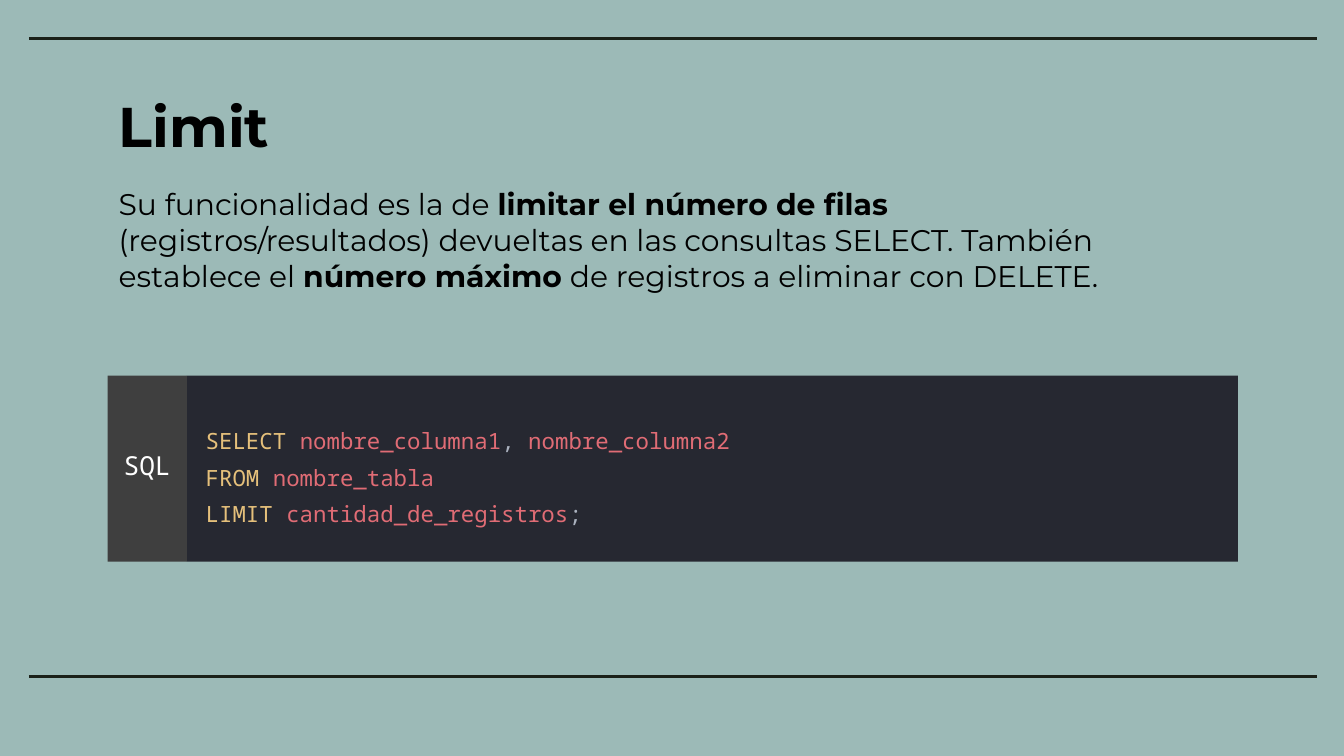
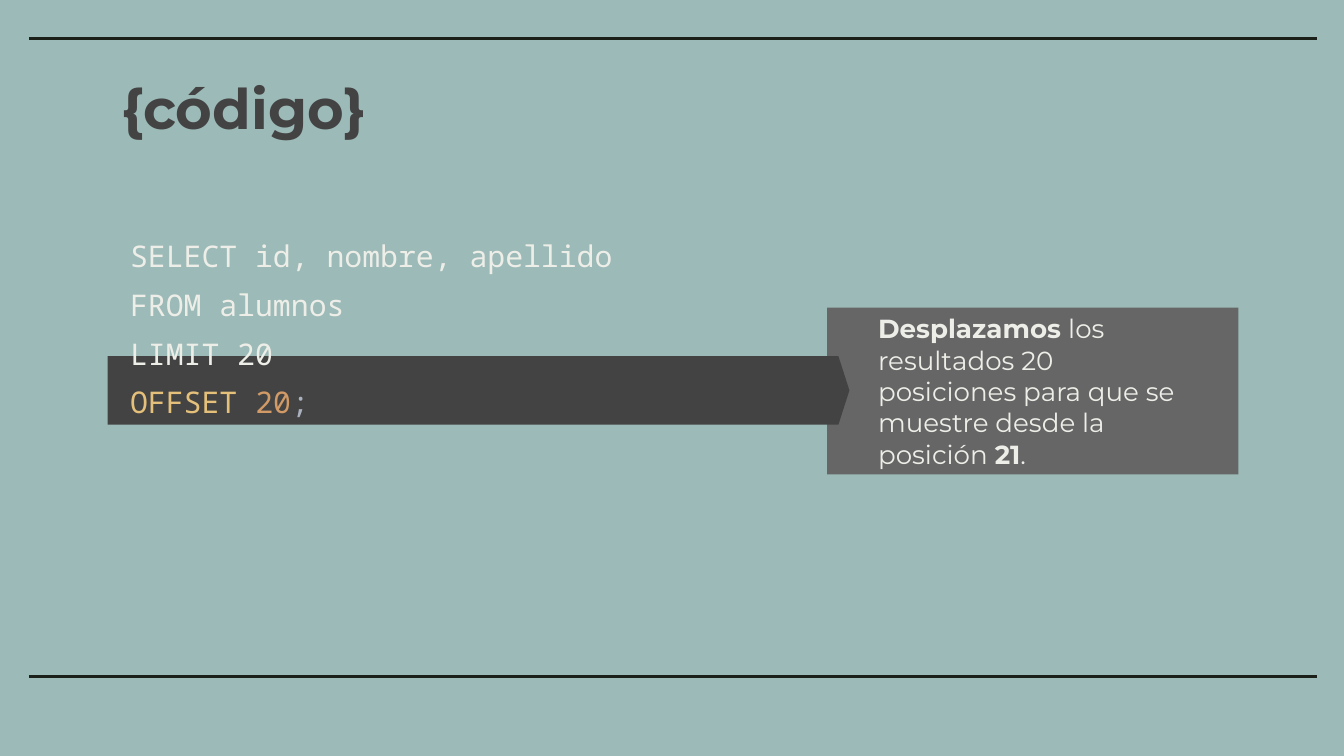
import pptx
import pptx.util
import pptx.dml.color
import pptx.enum.shapes
import pptx.enum.text
import pptx.oxml.ns
from lxml import etree

RGB = pptx.dml.color.RGBColor
SHAPE = pptx.enum.shapes.MSO_SHAPE
ANCHOR = pptx.enum.text.MSO_ANCHOR
ALIGN = pptx.enum.text.PP_ALIGN

SAGE = RGB(0x9C, 0xBA, 0xB7)
RULE = RGB(0x1B, 0x21, 0x19)
BLACK = RGB(0x00, 0x00, 0x00)
WHITE = RGB(0xFF, 0xFF, 0xFF)
CREAM = RGB(0xEE, 0xEE, 0xE9)
NIGHT = RGB(0x26, 0x28, 0x31)
COAL = RGB(0x3F, 0x3F, 0x3F)
SLATE = RGB(0x43, 0x43, 0x43)
GREY = RGB(0x66, 0x66, 0x66)
GOLD = RGB(0xE5, 0xC0, 0x7B)
ROSE = RGB(0xE0, 0x6C, 0x75)
MIST = RGB(0xAB, 0xB2, 0xBF)
AMBER = RGB(0xD1, 0x9A, 0x66)

SANS = "Montserrat"
MONO = "Noto Sans Mono"
WIDTH, HEIGHT = 2000, 1125
SCALE = 4572  # EMU in one px, 200 px to the inch
CODE = 1.36  # line spacing of code

BOLD = {"bold": True}
KEY = {"color": GOLD}
NAME = {"color": ROSE}
MARK = {"color": MIST}
NUM = {"color": AMBER}


def px(n):
    return pptx.util.Emu(n * SCALE)


def write(shape, lines, font=SANS, size=16, color=BLACK, bold=False,
          align=ALIGN.LEFT, anchor=ANCHOR.TOP, inset=(20, 20, 20, 20),
          space=None, before=0, indent=0):
    """Fill a shape with lines, each a list of (text, overrides) runs."""
    frame = shape.text_frame
    frame.word_wrap = True
    frame.vertical_anchor = anchor
    (frame.margin_left, frame.margin_top,
     frame.margin_right, frame.margin_bottom) = map(px, inset)
    for i, runs in enumerate(lines):
        para = frame.add_paragraph() if i else frame.paragraphs[0]
        para.alignment = align
        para.space_before = pptx.util.Pt(before)
        if space:
            para.line_spacing = space
        if indent:
            props = para._p.get_or_add_pPr()
            props.set("marL", str(px(indent)))
            props.set("indent", "0")
        for text, change in runs:
            run = para.add_run()
            run.text = text
            run.font.name = font
            run.font.size = pptx.util.Pt(size)
            run.font.bold = change.get("bold", bold)
            run.font.color.rgb = change.get("color", color)


class Deck:
    """Holds the shared style and the current slide."""

    def __init__(self):
        self.prs = pptx.Presentation()
        self.prs.slide_width = px(WIDTH)
        self.prs.slide_height = px(HEIGHT)
        fill = self.prs.slide_master.background.fill
        fill.solid()
        fill.fore_color.rgb = SAGE

    def page(self):
        """Start a slide with its top and bottom rules."""
        self.slide = self.prs.slides.add_slide(self.prs.slide_layouts[6])
        for y in (1007, 57):
            self.line(43, y, 1960, y)

    def line(self, x1, y1, x2, y2):
        kind = pptx.enum.shapes.MSO_CONNECTOR.STRAIGHT
        line = self.slide.shapes.add_connector(kind, *map(px, (x1, y1, x2, y2)))
        line.line.color.rgb = RULE
        line.line.width = pptx.util.Pt(1.5)
        etree.SubElement(line._element.spPr, pptx.oxml.ns.qn("a:effectLst"))

    def text(self, box, lines, **style):
        write(self.slide.shapes.add_textbox(*map(px, box)), lines, **style)

    def title(self, box, text, **style):
        self.text(box, [[(text, {})]], size=30, bold=True, space=0.9, **style)

    def block(self, box, fill, lines=(), kind=SHAPE.RECTANGLE, **style):
        """Add a filled shape, with its text centred in height."""
        shape = self.slide.shapes.add_shape(kind, *map(px, box))
        shape.shadow.inherit = False
        shape.fill.solid()
        shape.fill.fore_color.rgb = fill
        shape.line.fill.background()
        if lines:
            write(shape, lines, anchor=ANCHOR.MIDDLE, **style)
        return shape

    def limit(self):
        self.page()
        self.title((157, 120, 1686, 138), "Limit", anchor=ANCHOR.BOTTOM)
        self.text((157, 257, 1608, 148), [[
            ("Su funcionalidad es la de ", {}),
            ("limitar el número de filas", BOLD),
            (" (registros/resultados) devueltas en las consultas SELECT. "
             "También establece el ", {}),
            ("número máximo", BOLD),
            (" de registros a eliminar con DELETE.", {}),
        ]], before=6)
        self.block((278, 559, 1564, 277), NIGHT, [
            [("SELECT ", KEY), ("nombre_columna1", NAME), (", ", MARK),
             ("nombre_columna2", NAME)],
            [("FROM ", KEY), ("nombre_tabla", NAME)],
            [("LIMIT ", KEY), ("cantidad_de_registros", NAME), (";", MARK)],
        ], font=MONO, size=12, space=CODE, inset=(28, 32, 20, 20))
        self.block((160, 559, 118, 277), COAL, [[("SQL", {})]], font=MONO,
                   size=14, color=WHITE, align=ALIGN.CENTER,
                   inset=(20, 8, 20, 20))

    def offset(self):
        self.page()
        self.block((1231, 458, 612, 248), GREY, [[
            ("Desplazamos", BOLD),
            (" los resultados 20 posiciones para que se muestre desde la "
             "posición ", {}),
            ("21", BOLD),
            (".", {}),
        ]], size=14, color=CREAM, indent=56, inset=(20, 0, 72, 0))
        arrow = self.block((160, 530, 1104, 102), SLATE, kind=SHAPE.PENTAGON)
        arrow.adjustments[0] = 0.16
        self.title((161, 101, 656, 126), "{código}", color=SLATE)
        self.text((174, 315, 1072, 184), [
            [("SELECT id, nombre, apellido", {})],
            [("FROM alumnos", {})],
            [("LIMIT 20", {})],
            [("OFFSET ", KEY), ("20", NUM), (";", MARK)],
        ], font=MONO, color=CREAM, space=CODE)


def main():
    deck = Deck()
    deck.limit()
    deck.offset()
    deck.prs.save("out.pptx")


if __name__ == "__main__":
    main()
